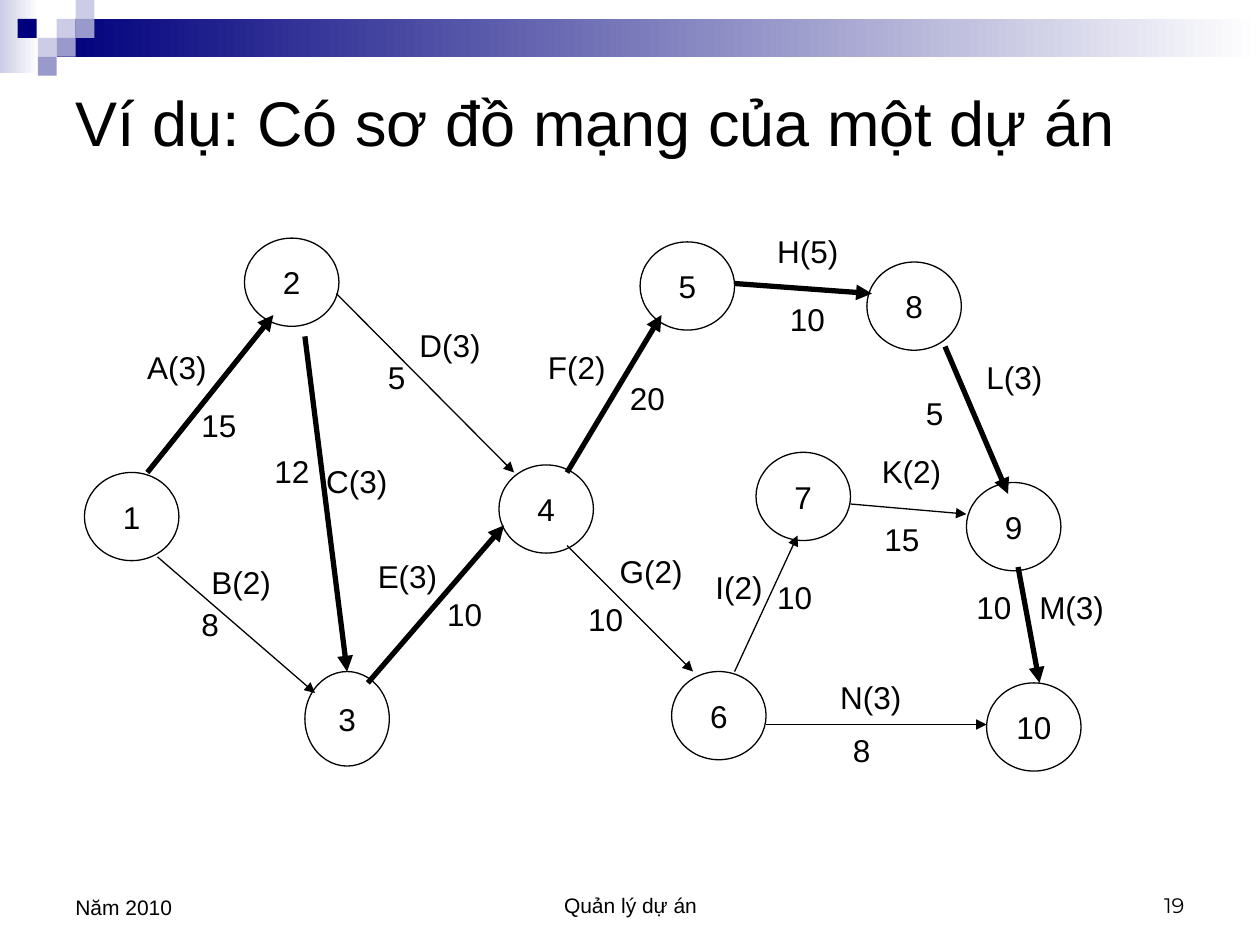
from typing import NamedTuple, Optional

from lxml.etree import SubElement
from pptx import Presentation
from pptx.dml.color import RGBColor
from pptx.enum.shapes import MSO_CONNECTOR, MSO_SHAPE
from pptx.enum.text import MSO_ANCHOR as Anchor, PP_ALIGN as Align
from pptx.oxml.ns import qn
from pptx.util import Inches, Pt

BLACK = RGBColor(0x00, 0x00, 0x00)
WHITE = RGBColor(0xFF, 0xFF, 0xFF)
NAVY = RGBColor(0x00, 0x00, 0x7D)
LAVENDER = RGBColor(0xCC, 0xCC, 0xE6)
VIOLET = RGBColor(0x99, 0x99, 0xCC)

THIN, CRITICAL = 0.75, 3
TILE = 0.15
LABEL_HEIGHT = 0.4


class Node(NamedTuple):
    number: int
    left: float
    top: float
    width: float = 0.75
    height: float = 0.7


class Label(NamedTuple):
    text: str
    left: float
    top: float
    width: float


class Activity(NamedTuple):
    start: tuple[float, float]
    end: tuple[float, float]
    weight: float
    name: Label
    duration: Label
    top_of: Optional[int] = None  # node whose top the arrow is joined to


class Band(NamedTuple):
    left: float
    top: float
    width: float
    height: float
    color: RGBColor


BANDS = [Band(0, 0, 0.31, 0.58, LAVENDER), Band(0.45, 0.15, 9.55, 0.3, NAVY)]
TILES = [
    (0.45, 0.15, LAVENDER), (0.6, 0, LAVENDER), (0.6, 0.15, VIOLET),
    (0.3, 0.3, LAVENDER), (0.14, 0.15, NAVY), (0.45, 0.3, VIOLET),
    (0.3, 0.45, VIOLET),
]
NODES = [
    Node(1, 0.67, 3.75), Node(2, 1.94, 1.89), Node(3, 2.42, 5.33, 0.67, 0.75),
    Node(4, 3.96, 3.69), Node(5, 5.08, 1.92), Node(6, 5.33, 5.33),
    Node(7, 6, 3.59), Node(8, 6.88, 2.08), Node(9, 7.67, 3.83),
    Node(10, 7.83, 5.42),
]
ACTIVITIES = [
    Activity((1.17, 3.75), (2.17, 2.5), CRITICAL,
             Label("A(3)", 1.07, 2.71, 0.67), Label("15", 1.5, 3.17, 0.65)),
    Activity((1.25, 4.42), (2.5, 5.5), THIN,
             Label("B(2)", 1.58, 4.42, 0.82), Label("8", 1.5, 4.75, 0.34)),
    Activity((2.42, 2.67), (2.75, 5.33), CRITICAL,
             Label("C(3)", 2.49, 3.62, 0.85), Label("12", 2.08, 3.54, 0.71),
             top_of=3),
    Activity((2.67, 2.33), (4.08, 3.75), THIN,
             Label("D(3)", 3.23, 2.54, 0.68), Label("5", 2.98, 2.79, 0.34)),
    Activity((2.92, 5.42), (4, 4.17), CRITICAL,
             Label("E(3)", 2.9, 4.37, 0.67), Label("10", 3.45, 4.67, 0.63)),
    Activity((4.5, 3.75), (5.25, 2.5), CRITICAL,
             Label("F(2)", 4.25, 2.71, 0.81), Label("20", 4.9, 2.96, 0.48)),
    Activity((4.5, 4.33), (5.5, 5.33), THIN,
             Label("G(2)", 4.82, 4.33, 0.7), Label("10", 4.57, 4.71, 0.48)),
    Activity((5.83, 2.25), (6.92, 2.33), CRITICAL,
             Label("H(5)", 6.07, 1.79, 0.68), Label("10", 6.17, 2.33, 0.48)),
    Activity((5.83, 5.33), (6.33, 4.25), THIN,
             Label("I(2)", 5.58, 4.46, 0.64), Label("10", 6.07, 4.54, 0.48)),
    Activity((6.75, 4), (7.67, 4.08), THIN,
             Label("K(2)", 6.9, 3.54, 0.67), Label("15", 6.92, 4.08, 0.48)),
    Activity((7.5, 2.75), (8, 3.92), CRITICAL,
             Label("L(3)", 7.73, 2.79, 0.64), Label("5", 7.25, 3.08, 0.33)),
    Activity((8.08, 4.5), (8.25, 5.42), CRITICAL,
             Label("M(3)", 8.15, 4.62, 0.71), Label("10", 7.65, 4.62, 0.52)),
    Activity((6.08, 5.75), (7.83, 5.75), THIN,
             Label("N(3)", 6.57, 5.33, 0.69), Label("8", 6.67, 5.75, 0.34)),
]


def write(shape, text: str, *, size: float = 18, font: str = "Arial",
          align=Align.LEFT, anchor=Anchor.TOP, wrap: bool = True):
    frame = shape.text_frame
    frame.word_wrap = wrap
    frame.vertical_anchor = anchor
    paragraph = frame.paragraphs[0]
    paragraph.alignment = align
    run = paragraph.add_run()
    run.text = text
    run.font.size = Pt(size)
    run.font.name = font
    run.font.color.rgb = BLACK


def add_text(slide, text: str, left: float, top: float, width: float,
             height: float, **text_format):
    box = slide.shapes.add_textbox(Inches(left), Inches(top), Inches(width), Inches(height))
    write(box, text, **text_format)
    return box


def add_plain_shape(slide, kind, left: float, top: float, width: float, height: float):
    shape = slide.shapes.add_shape(kind, Inches(left), Inches(top), Inches(width), Inches(height))
    shape.shadow.inherit = False
    shape.line.fill.background()
    return shape


def add_header_band(slide):
    for band in BANDS:
        fill = add_plain_shape(slide, MSO_SHAPE.RECTANGLE, *band[:4]).fill
        fill.gradient()
        fill.gradient_angle = 0
        for stop, color in zip(fill.gradient_stops, (band.color, WHITE)):
            stop.color.rgb = color
    for left, top, color in TILES:
        tile = add_plain_shape(slide, MSO_SHAPE.RECTANGLE, left, top, TILE, TILE)
        tile.fill.solid()
        tile.fill.fore_color.rgb = color


def add_node(slide, node: Node):
    circle = add_plain_shape(slide, MSO_SHAPE.OVAL, *node[1:])
    circle.fill.solid()
    circle.fill.fore_color.rgb = WHITE
    circle.line.color.rgb = BLACK
    circle.line.width = Pt(THIN)
    write(circle, str(node.number), align=Align.CENTER, anchor=Anchor.MIDDLE, wrap=False)
    return circle


def add_arrow(slide, activity: Activity, circles: dict):
    points = [Inches(value) for value in activity.start + activity.end]
    arrow = slide.shapes.add_connector(MSO_CONNECTOR.STRAIGHT, *points)
    if activity.top_of is not None:
        arrow.end_connect(circles[activity.top_of], 0)
    arrow.line.color.rgb = BLACK
    arrow.line.width = Pt(activity.weight)
    properties = arrow.line._get_or_add_ln()
    SubElement(properties, qn("a:tailEnd"), type="triangle")
    SubElement(properties.getparent(), qn("a:effectLst"))


def add_label(slide, label: Label):
    box = add_text(slide, *label, LABEL_HEIGHT)
    box.text_frame.margin_right = 0


def main():
    presentation = Presentation()
    presentation.slide_width, presentation.slide_height = Inches(10), Inches(7.5)
    slide = presentation.slides.add_slide(presentation.slide_layouts[5])

    add_header_band(slide)
    title = slide.shapes.title
    title.left, title.top = Inches(0.5), Inches(0.42)
    title.width, title.height = Inches(9), Inches(1.08)
    write(title, "Ví dụ: Có sơ đồ mạng của một dự án", size=36, anchor=Anchor.MIDDLE)

    circles = {node.number: add_node(slide, node) for node in NODES}
    for activity in ACTIVITIES:
        add_arrow(slide, activity, circles)
    for activity in ACTIVITIES:
        add_label(slide, activity.name)
        add_label(slide, activity.duration)

    footer = {"size": 12, "anchor": Anchor.BOTTOM}
    add_text(slide, "Quản lý dự án", 3.42, 6.83, 3.17, 0.5, align=Align.CENTER, **footer)
    add_text(slide, "19", 7.17, 6.83, 2.33, 0.5, align=Align.RIGHT, font="Montserrat", **footer)
    add_text(slide, "Năm 2010", 0.5, 6.83, 2.33, 0.52, **footer)
    presentation.save("out.pptx")


if __name__ == "__main__":
    main()
